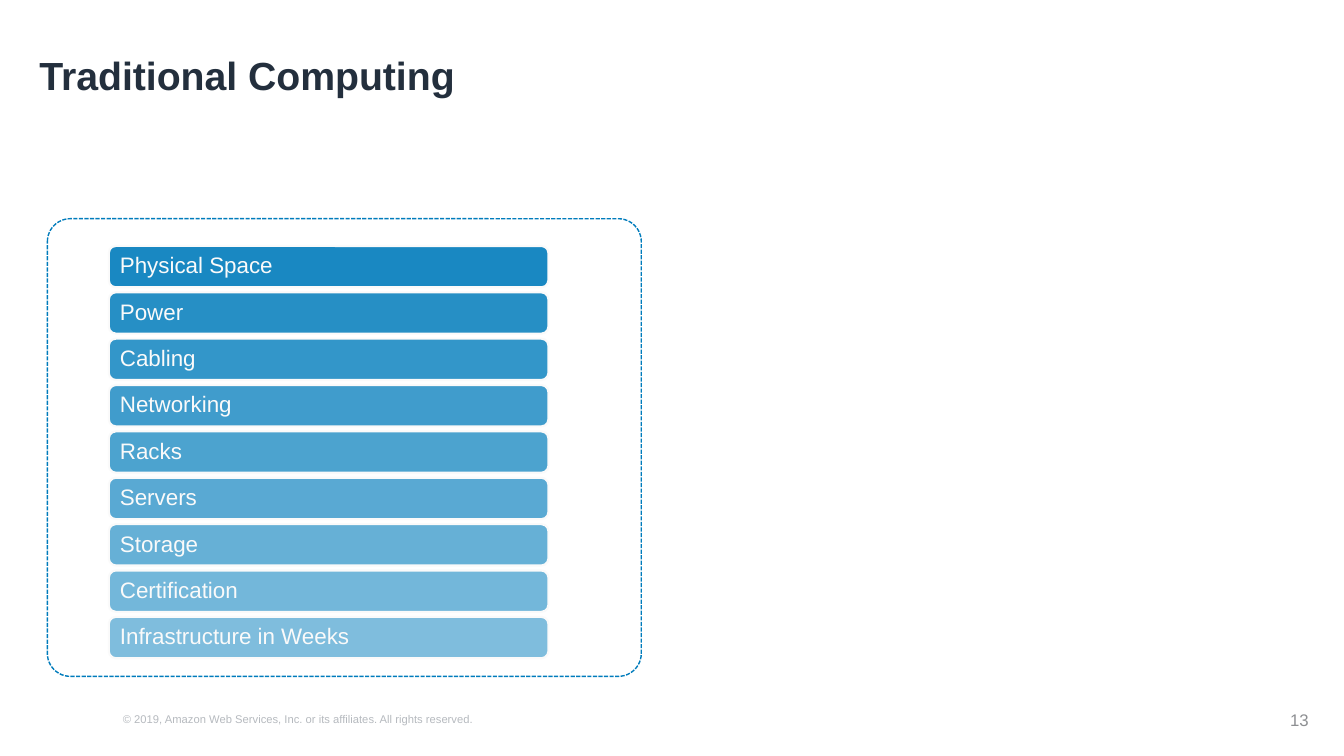
from lxml.etree import SubElement
from pptx import Presentation
from pptx.dml.color import RGBColor
from pptx.enum.dml import MSO_LINE
from pptx.enum.shapes import MSO_SHAPE as SHAPE
from pptx.enum.text import MSO_ANCHOR as ANCHOR, MSO_AUTO_SIZE as AUTO_SIZE, PP_ALIGN as ALIGN
from pptx.oxml.ns import qn
from pptx.util import Emu, Pt

PX = 9144
BLUE, PALE = "007CBC", "FAFAFA"
RESOURCES = ["Physical Space", "Power", "Cabling", "Networking", "Racks",
             "Servers", "Storage", "Certification", "Infrastructure in Weeks"]


def px(n):
    """Turn px into EMU."""
    return Emu(n * PX)


def color(value):
    """Turn a hex string into a colour."""
    return RGBColor.from_string(value)


def write(sp, text, size, hex_color, align=ALIGN.LEFT, anchor=ANCHOR.MIDDLE, bold=False, spacing=1.0):
    """Set and format the single paragraph of a shape."""
    tf = sp.text_frame
    tf.text = text
    tf.word_wrap = True
    tf.auto_size = AUTO_SIZE.NONE
    tf.vertical_anchor = anchor
    p = tf.paragraphs[0]
    p.alignment, p.line_spacing = align, spacing
    font = p.runs[0].font
    font.name, font.size, font.bold = "Arial", Pt(size), bold
    font.color.rgb = color(hex_color)


def add_round_rect(s, box, radius, line, width):
    """Add a rounded rectangle without shadow."""
    sp = s.shapes.add_shape(SHAPE.ROUNDED_RECTANGLE, *map(px, box))
    sp.adjustments[0] = radius
    sp.shadow.inherit = False
    sp.line.color.rgb = color(line)
    sp.line.width = Pt(width)
    return sp


def add_title(s, box, text):
    """Place and format the title placeholder."""
    title = s.shapes.title
    title.left, title.top, title.width, title.height = map(px, box)
    write(title, text, 28, "232F3D", bold=True, spacing=0.9)


def add_frame(s, box):
    """Add the dashed outline around the stack."""
    frame = add_round_rect(s, box, 0.05, BLUE, 1)
    frame.fill.background()
    frame.line.dash_style = MSO_LINE.SQUARE_DOT
    frame.line._ln.find(qn("a:prstDash")).set("val", "sysDash")


def add_stack(s, box, labels):
    """Fill the box with equally spaced bars that fade downwards."""
    left, top, width, height = box
    gap = 5
    bar_height = (height + gap) // len(labels) - gap
    for i, label in enumerate(labels):
        bar_box = left, top + i * (bar_height + gap), width, bar_height
        bar = add_round_rect(s, bar_box, 0.17, PALE, 1.5)
        bar.fill.solid()
        bar.fill.fore_color.rgb = color(BLUE)
        fill = bar._element.spPr.find(qn("a:solidFill"))
        SubElement(fill[0], qn("a:alpha")).set("val", str((90 - 5 * i) * 1000))
        write(bar, label, 16, PALE, spacing=0.9)
        tf = bar.text_frame
        tf.margin_left = tf.margin_right = px(9)
        tf.margin_top = tf.margin_bottom = 0


def add_footer(s, box, notice, number):
    """Add the copyright line and the page number at the ends of the box."""
    left, top, width, height = box
    copyright_box = s.shapes.add_textbox(*map(px, (left, top + 8, 834, 24)))
    write(copyright_box, notice, 8, "B6BABF", anchor=ANCHOR.TOP)
    number_box = s.shapes.add_textbox(*map(px, (left + width - 300, top, 300, height)))
    write(number_box, number, 12, "8D8F92", align=ALIGN.RIGHT)


def main():
    """Build the slide and save it."""
    prs = Presentation()
    prs.slide_width, prs.slide_height = px(1333), px(750)
    s = prs.slides.add_slide(prs.slide_layouts[5])
    add_title(s, (29, 45, 1279, 65), "Traditional Computing")
    add_frame(s, (47, 217, 589, 454))
    add_stack(s, (108, 244, 436, 409), RESOURCES)
    add_footer(s, (112, 694, 1196, 40),
               "© 2019, Amazon Web Services, Inc. or its affiliates. All rights reserved.", "13")
    prs.save("out.pptx")


if __name__ == "__main__":
    main()
